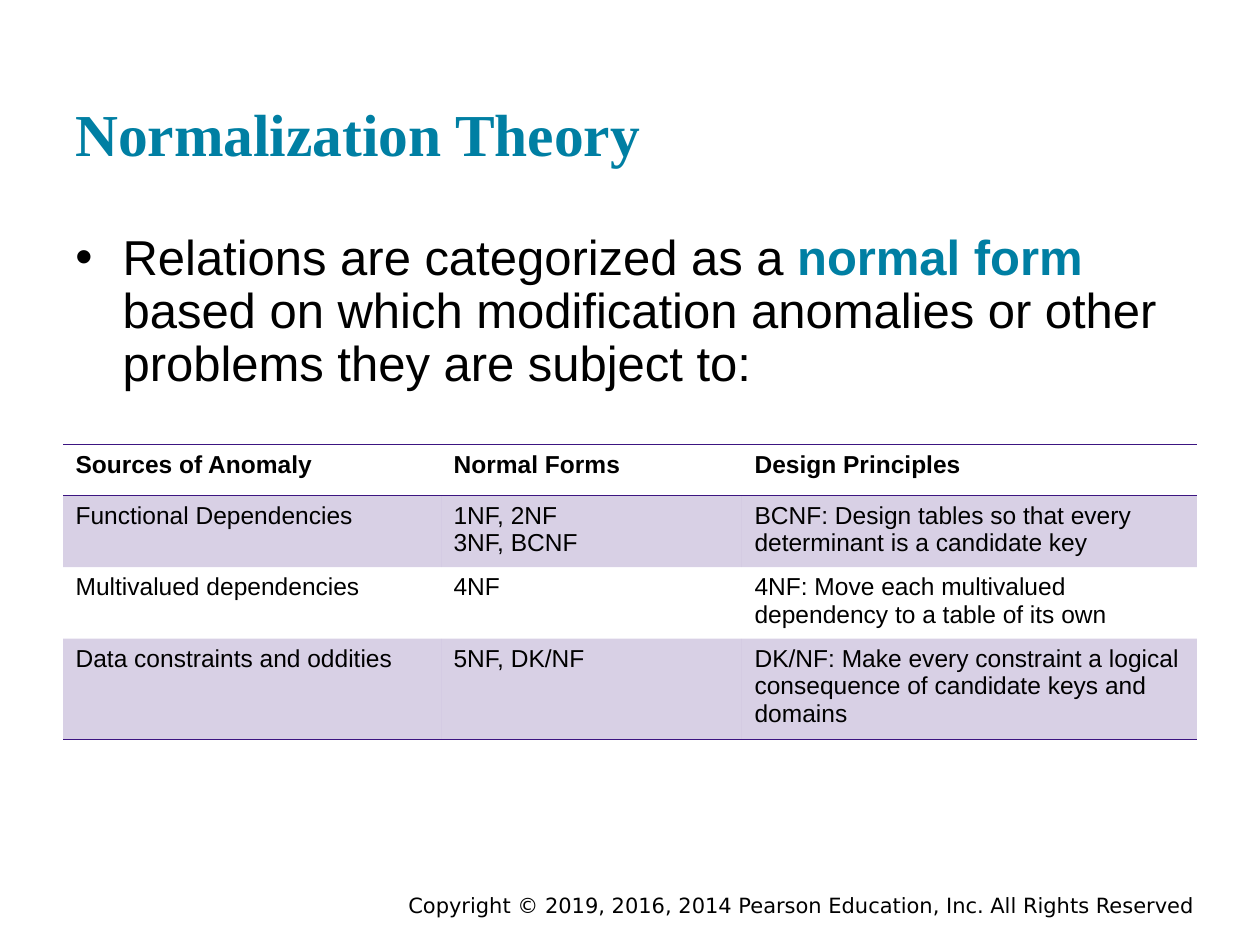
from lxml.etree import SubElement
from pptx import Presentation
from pptx.dml.color import RGBColor
from pptx.enum.text import MSO_ANCHOR, PP_ALIGN
from pptx.oxml.ns import qn
from pptx.util import Pt

BLACK = RGBColor(0x00, 0x00, 0x00)
TEAL = RGBColor(0x00, 0x7F, 0xA3)
PURPLE = RGBColor(0x3C, 0x15, 0x81)
NO_STYLE_NO_GRID = "{2D5ABB26-0587-4C30-8999-92F81FD0307C}"

COLUMN_WIDTHS = (216, 172, 260)
ROW_HEIGHT = 29.2
NORMAL_FORMS = (
    (("Sources of Anomaly",), ("Normal Forms",), ("Design Principles",)),
    (("Functional Dependencies",), ("1NF, 2NF", "3NF, BCNF"),
     ("BCNF: Design tables so that every determinant is a candidate key",)),
    (("Multivalued dependencies",), ("4NF",),
     ("4NF: Move each multivalued dependency to a table of its own",)),
    (("Data constraints and oddities",), ("5NF, DK/NF",),
     ("DK/NF: Make every constraint a logical consequence of candidate keys and domains",)),
)


def add_run(paragraph, text, size, font="Arial", color=BLACK, bold=False):
    run = paragraph.add_run()
    run.text = text
    run.font.name = font
    run.font.size = Pt(size)
    run.font.bold = bold
    run.font.color.rgb = color


def add_text_area(slide, left, top, width, height, inset=7.2, anchor=MSO_ANCHOR.TOP):
    """Add a wrapping text box and return its first paragraph."""
    frame = slide.shapes.add_textbox(Pt(left), Pt(top), Pt(width), Pt(height)).text_frame
    frame.word_wrap = True
    frame.vertical_anchor = anchor
    frame.margin_left = frame.margin_right = Pt(7.2)
    frame.margin_top = frame.margin_bottom = Pt(inset)
    return frame.paragraphs[0]


def add_bullet(paragraph, indent):
    properties = paragraph._p.get_or_add_pPr()
    properties.set("marL", str(Pt(indent)))
    properties.set("indent", str(-Pt(indent)))
    SubElement(properties, qn("a:buFont"), typeface="Arial")
    SubElement(properties, qn("a:buChar"), char="•")


def add_border(cell, side):
    """Rule one side of a cell: lnT for the top, lnB for the bottom."""
    line = SubElement(cell._tc.get_or_add_tcPr(), qn(f"a:{side}"), w=str(Pt(1)))
    fill = SubElement(line, qn("a:solidFill"))
    SubElement(fill, qn("a:srgbClr"), val=str(PURPLE))


def tint(cell, percent):
    cell.fill.solid()
    cell.fill.fore_color.rgb = PURPLE
    color = cell._tc.tcPr.find(qn("a:solidFill")).find(qn("a:srgbClr"))
    SubElement(color, qn("a:alpha"), val=str(percent * 1000))


def add_normal_forms_table(slide, left, top):
    row_count = len(NORMAL_FORMS)
    table = slide.shapes.add_table(
        row_count, len(COLUMN_WIDTHS), Pt(left), Pt(top),
        Pt(sum(COLUMN_WIDTHS)), Pt(ROW_HEIGHT * row_count)).table
    table.first_row = table.horz_banding = False
    table._tbl.tblPr.find(qn("a:tableStyleId")).text = NO_STYLE_NO_GRID
    for column, width in zip(table.columns, COLUMN_WIDTHS):
        column.width = Pt(width)
    for row_index, entries in enumerate(NORMAL_FORMS):
        table.rows[row_index].height = Pt(ROW_HEIGHT)
        is_header = row_index == 0
        for column_index, lines in enumerate(entries):
            cell = table.cell(row_index, column_index)
            for line_index, text in enumerate(lines):
                frame = cell.text_frame
                paragraph = frame.add_paragraph() if line_index else frame.paragraphs[0]
                add_run(paragraph, text, 14, bold=is_header)
            if is_header:
                add_border(cell, "lnT")
            if is_header or row_index == row_count - 1:
                add_border(cell, "lnB")
            if row_index % 2:
                tint(cell, 20)
            else:
                cell.fill.background()


def main():
    presentation = Presentation()
    presentation.slide_width, presentation.slide_height = Pt(720), Pt(540)
    slide = presentation.slides.add_slide(presentation.slide_layouts[6])

    copyright_line = add_text_area(slide, 126, 506.2, 563.8, 15.8, inset=3.6)
    copyright_line.alignment = PP_ALIGN.RIGHT
    add_run(copyright_line,
            "Copyright © 2019, 2016, 2014 Pearson Education, Inc. All Rights Reserved",
            12, font="DejaVu Sans")

    title = add_text_area(slide, 36, 17.3, 648, 86.4, anchor=MSO_ANCHOR.BOTTOM)
    add_run(title, "Normalization Theory", 34, font="Times New Roman", color=TEAL, bold=True)

    statement = add_text_area(slide, 36, 126, 648, 356.4)
    add_bullet(statement, 27)
    statement.line_spacing = 0.9
    add_run(statement, "Relations are categorized as a ", 28)
    add_run(statement, "normal form ", 28, color=TEAL, bold=True)
    add_run(statement,
            "based on which modification anomalies or other problems they are subject to:", 28)

    add_normal_forms_table(slide, 36, 254)
    presentation.save("out.pptx")


if __name__ == "__main__":
    main()
